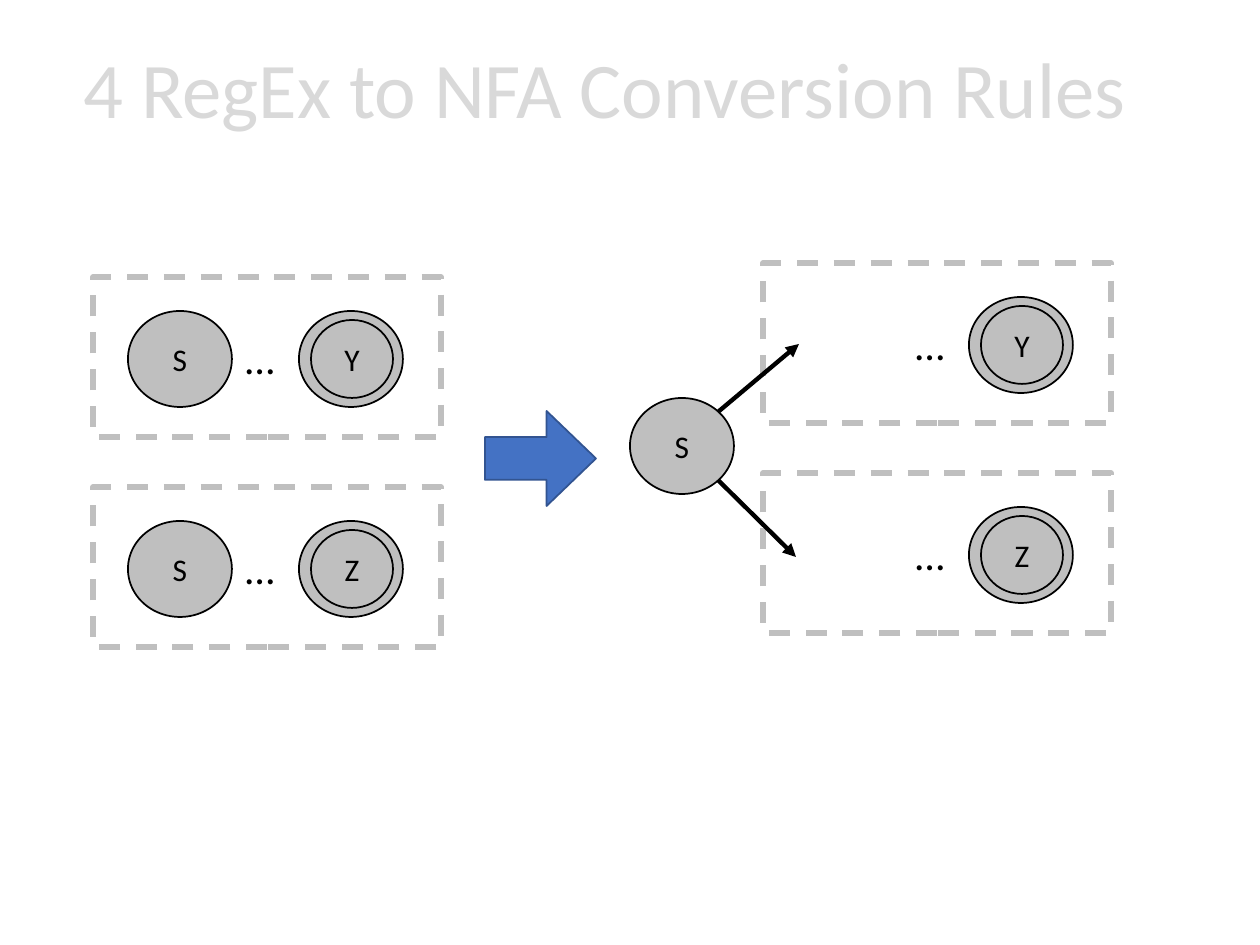
from lxml import etree
from pptx import Presentation
from pptx.dml.color import RGBColor
from pptx.enum.dml import MSO_LINE
from pptx.enum.shapes import MSO_CONNECTOR, MSO_SHAPE
from pptx.enum.text import MSO_ANCHOR, MSO_AUTO_SIZE, PP_ALIGN
from pptx.oxml.ns import qn
from pptx.util import Pt

OVAL, RECT, ARROW = MSO_SHAPE.OVAL, MSO_SHAPE.RECTANGLE, MSO_SHAPE.RIGHT_ARROW
LINE, DASH = MSO_CONNECTOR.STRAIGHT, MSO_LINE.DASH
MIDDLE, LEFT, CENTER = MSO_ANCHOR.MIDDLE, PP_ALIGN.LEFT, PP_ALIGN.CENTER
FIT, FIXED = MSO_AUTO_SIZE.SHAPE_TO_FIT_TEXT, MSO_AUTO_SIZE.NONE
BLACK = RGBColor(0x00, 0x00, 0x00)
GRAY = RGBColor(0xBF, 0xBF, 0xBF)
PALE = RGBColor(0xD9, 0xD9, 0xD9)
BLUE = RGBColor(0x44, 0x72, 0xC4)
NAVY = RGBColor(0x32, 0x54, 0x91)
PX = 914400 // 126

deck = Presentation()
deck.slide_width, deck.slide_height = 1260 * PX, 945 * PX
slide = deck.slides.add_slide(deck.slide_layouts[5])
shapes = slide.shapes


def write(frame, text, size, color, align):
    para = frame.paragraphs[0]
    para.alignment = align
    run = para.add_run()
    run.text = text
    run.font.size = Pt(size)
    run.font.name = "Calibri"
    run.font.color.rgb = color
    return para


def draw(kind, x, y, w, h, fill, edge, width, text=""):
    shape = shapes.add_shape(kind, x * PX, y * PX, w * PX, h * PX)
    shape.shadow.inherit = False
    if fill is None:
        shape.fill.background()
    else:
        shape.fill.solid()
        shape.fill.fore_color.rgb = fill
    shape.line.color.rgb = edge
    shape.line.width = Pt(width)
    if text:
        shape.text_frame.vertical_anchor = MIDDLE
        write(shape.text_frame, text, 18, BLACK, CENTER)
    return shape


title = shapes.title
title.left, title.top, title.width, title.height = 71 * PX, 1 * PX, 1149 * PX, 183 * PX
title.text_frame.auto_size = FIXED
title.text_frame.vertical_anchor = MIDDLE
write(title.text_frame, "4 RegEx to NFA Conversion Rules", 45, PALE, LEFT).line_spacing = 0.9

for x, top, start in [(93, 277, "S"), (763, 263, "")]:
    for row, end in enumerate("YZ"):
        y = top + row * 210
        if start:
            draw(OVAL, x + 35, y + 34, 104, 96, GRAY, BLACK, 1, start)
        draw(OVAL, x + 206, y + 34, 104, 96, GRAY, BLACK, 1)
        draw(OVAL, x + 218, y + 43, 82, 78, GRAY, BLACK, 1, end)
        draw(RECT, x, y, 348, 160, None, GRAY, 3).line.dash_style = DASH
        dots = shapes.add_textbox((x + 140) * PX, (y + 49) * PX, 55 * PX, 63 * PX)
        dots.text_frame.word_wrap = False
        dots.text_frame.auto_size = FIT
        write(dots.text_frame, "…", 24, BLACK, LEFT)

arrow = draw(ARROW, 485, 411, 111, 95, BLUE, NAVY, 1)
arrow.adjustments[0], arrow.adjustments[1] = 0.45, 0.52

draw(OVAL, 630, 398, 104, 96, GRAY, BLACK, 1, "S")
for y, tip, end in [(412, 799, 344), (480, 796, 557)]:
    edge = shapes.add_connector(LINE, 718 * PX, y * PX, tip * PX, end * PX)
    edge.line.color.rgb = BLACK
    edge.line.width = Pt(2.5)
    etree.SubElement(edge.line._get_or_add_ln(), qn("a:tailEnd"), type="triangle")
    etree.SubElement(edge._element.spPr, qn("a:effectLst"))

deck.save("out.pptx")
